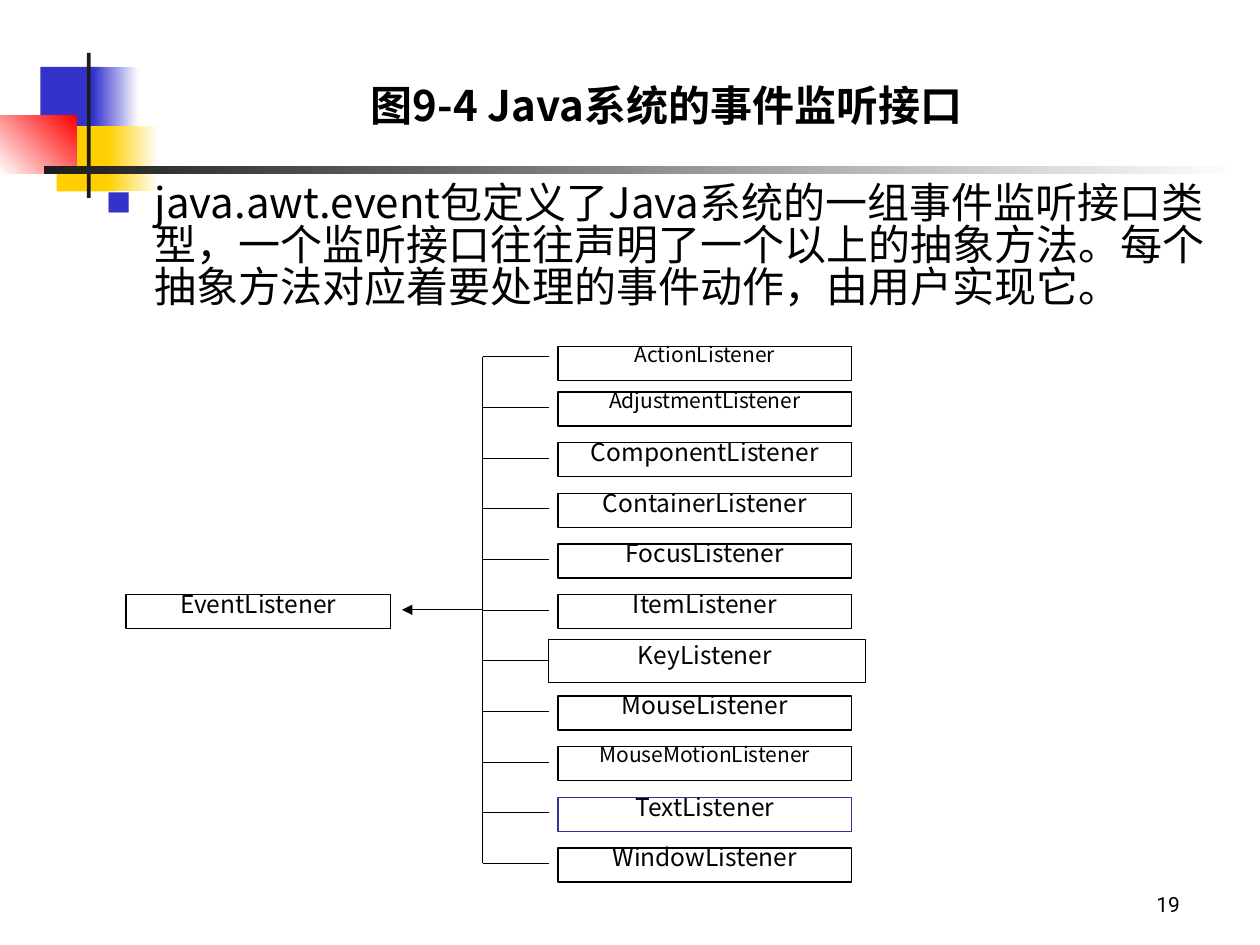
from dataclasses import dataclass

from lxml import etree
from pptx import Presentation
from pptx.dml.color import RGBColor
from pptx.enum.shapes import MSO_CONNECTOR, MSO_SHAPE
from pptx.enum.text import MSO_ANCHOR, PP_ALIGN
from pptx.oxml.ns import qn
from pptx.util import Inches, Pt

RECT = MSO_SHAPE.RECTANGLE
STRAIGHT = MSO_CONNECTOR.STRAIGHT
CENTER = PP_ALIGN.CENTER
TOP, BOTTOM = MSO_ANCHOR.TOP, MSO_ANCHOR.BOTTOM
LEFT_SIDE = 1


@dataclass(frozen=True)
class Theme:
    font: str = "Noto Sans CJK SC"
    number_font: str = "Roboto"
    text: str = "000000"
    blue: str = "3333CC"
    yellow: str = "FFCF01"
    red: str = "FF0000"
    dark: str = "1C1C1C"
    white: str = "FFFFFF"
    accent: str = "333399"
    heading: int = 24
    label: int = 14
    small: int = 12


THEME = Theme()

TITLE = "图9-4 Java系统的事件监听接口"
BODY = ("java.awt.event包定义了Java系统的一组事件监听接口类型，"
        "一个监听接口往往声明了一个以上的抽象方法。"
        "每个抽象方法对应着要处理的事件动作，由用户实现它。")
ROOT = "EventListener"
LISTENERS = ["ActionListener", "AdjustmentListener", "ComponentListener",
             "ContainerListener", "FocusListener", "ItemListener", "KeyListener",
             "MouseListener", "MouseMotionListener", "TextListener",
             "WindowListener"]
SMALL_LABELS = {"ActionListener", "AdjustmentListener", "MouseMotionListener"}
FRAMED = "KeyListener"
ACCENTED = "TextListener"
NUDGE = {"ActionListener": 0.04}

# Tree grid, in inches
FIRST_ROW, LAST_ROW = 2.83, 6.85
PITCH = (LAST_ROW - FIRST_ROW) / (len(LISTENERS) - 1)
TRUNK_X, STUB_X, ARROW_X = 3.83, 4.36, 3.19
ROOT_X, ROOT_W = 1, 2.1
LEAF_X, LEAF_W = 4.43, 2.33
BOX_H, BOX_RISE = 0.27, 0.12
FRAME_X, FRAME_W, FRAME_H = 4.35, 2.52, 0.34


def color(value):
    return RGBColor.from_string(value)


def row_y(i):
    return FIRST_ROW + i * PITCH


def add_rect(slide, box, fill=None, line=None, width=0):
    sp = slide.shapes.add_shape(RECT, *map(Inches, box))
    sp.shadow.inherit = False
    if fill:
        sp.fill.solid()
        sp.fill.fore_color.rgb = color(fill)
    else:
        sp.fill.background()
    if line:
        sp.line.color.rgb = color(line)
        sp.line.width = Pt(width)
    else:
        sp.line.fill.background()
    return sp


def add_gradient(slide, box, start, end, angle=0):
    sp = add_rect(slide, box)
    sp.fill.gradient()
    sp.fill.gradient_angle = angle
    for stop, position, value in zip(sp.fill.gradient_stops, (0, 1), (start, end)):
        stop.position = position
        stop.color.rgb = color(value)


def write(sp, text, size, font=THEME.font, bold=False, align=None,
          anchor=TOP, spacing=None, inset=None):
    tf = sp.text_frame
    tf.word_wrap = True
    tf.vertical_anchor = anchor
    if inset is not None:
        tf.margin_left = tf.margin_right = Inches(inset)
        tf.margin_top = tf.margin_bottom = Inches(inset)
    tf.text = text
    p = tf.paragraphs[0]
    p.alignment = align
    p.line_spacing = spacing
    r = p.runs[0]
    r.font.size = Pt(size)
    r.font.name = font
    r.font.bold = bold
    r.font.color.rgb = color(THEME.text)
    ea = etree.SubElement(r.font._element, qn("a:ea"))
    ea.set("typeface", font)
    return p


def add_text(slide, box, text, size, **style):
    sp = slide.shapes.add_textbox(*map(Inches, box))
    return write(sp, text, size, **style)


def add_bullet(p, indent):
    pPr = p._p.get_or_add_pPr()
    pPr.set("marL", str(Inches(indent)))
    pPr.set("indent", str(-Inches(indent)))
    clr = etree.SubElement(pPr, qn("a:buClr"))
    etree.SubElement(clr, qn("a:srgbClr")).set("val", THEME.blue)
    etree.SubElement(pPr, qn("a:buSzPct")).set("val", "60000")
    etree.SubElement(pPr, qn("a:buFont")).set("typeface", THEME.font)
    etree.SubElement(pPr, qn("a:buChar")).set("char", "■")


def add_line(slide, x1, y1, x2, y2, width=0.25, arrow=False):
    cn = slide.shapes.add_connector(STRAIGHT, *map(Inches, (x1, y1, x2, y2)))
    cn.line.color.rgb = color(THEME.text)
    cn.line.width = Pt(width)
    if arrow:
        etree.SubElement(cn.line._get_or_add_ln(), qn("a:tailEnd")).set("type", "triangle")
    etree.SubElement(cn._element.spPr, qn("a:effectLst"))
    return cn


def add_decoration(slide):
    add_rect(slide, (0.32, 0.53, 0.48, 0.52), THEME.blue)
    add_gradient(slide, (0.74, 0.53, 0.36, 0.52), THEME.blue, THEME.white)
    add_rect(slide, (0.45, 1, 0.46, 0.52), THEME.yellow)
    add_gradient(slide, (0.86, 1, 0.4, 0.52), THEME.yellow, THEME.white)
    add_gradient(slide, (0, 0.92, 0.61, 0.46), THEME.white, THEME.red, angle=45)
    add_rect(slide, (0.69, 0.42, 0.03, 1.15), THEME.dark)
    add_gradient(slide, (0.35, 1.32, 9.51, 0.06), THEME.dark, THEME.white)


def add_label_box(slide, text, x, y, width, line):
    sp = add_rect(slide, (x, y - BOX_RISE, width, BOX_H), line=line)
    size = THEME.small if text in SMALL_LABELS else THEME.label
    write(sp, text, size, align=CENTER, spacing=0.8, inset=0)


def add_leaf(slide, text, y):
    """Draw one listener with the stub that ties it to the trunk."""
    stub = add_line(slide, TRUNK_X, y, STUB_X, y)
    line = THEME.accent if text == ACCENTED else THEME.text
    if text == FRAMED:
        frame = add_rect(slide, (FRAME_X, y - FRAME_H / 2, FRAME_W, FRAME_H),
                         line=line, width=0.25)
        stub.end_connect(frame, LEFT_SIDE)
        line = None
    add_label_box(slide, text, LEAF_X, y + NUDGE.get(text, 0), LEAF_W, line)


def add_tree(slide):
    middle = row_y(len(LISTENERS) // 2)
    add_line(slide, TRUNK_X, LAST_ROW, TRUNK_X, FIRST_ROW, width=0.5)
    add_line(slide, TRUNK_X, middle, ARROW_X, middle, width=0.5, arrow=True)
    add_label_box(slide, ROOT, ROOT_X, middle, ROOT_W, THEME.text)
    for i, name in enumerate(LISTENERS):
        add_leaf(slide, name, row_y(i))


def main():
    prs = Presentation()
    prs.slide_width, prs.slide_height = Inches(10), Inches(7.5)
    slide = prs.slides.add_slide(prs.slide_layouts[6])
    add_text(slide, (9.08, 7.03, 0.83, 0.3), "19", THEME.small, font=THEME.number_font)
    add_decoration(slide)
    add_text(slide, (1, 0.08, 8.58, 1), TITLE, THEME.heading, bold=True,
             align=CENTER, anchor=BOTTOM)
    p = add_text(slide, (0.75, 1.42, 8.92, 1.42), BODY, THEME.heading, spacing=0.83)
    add_bullet(p, 0.38)
    add_tree(slide)
    prs.save("out.pptx")


if __name__ == "__main__":
    main()
